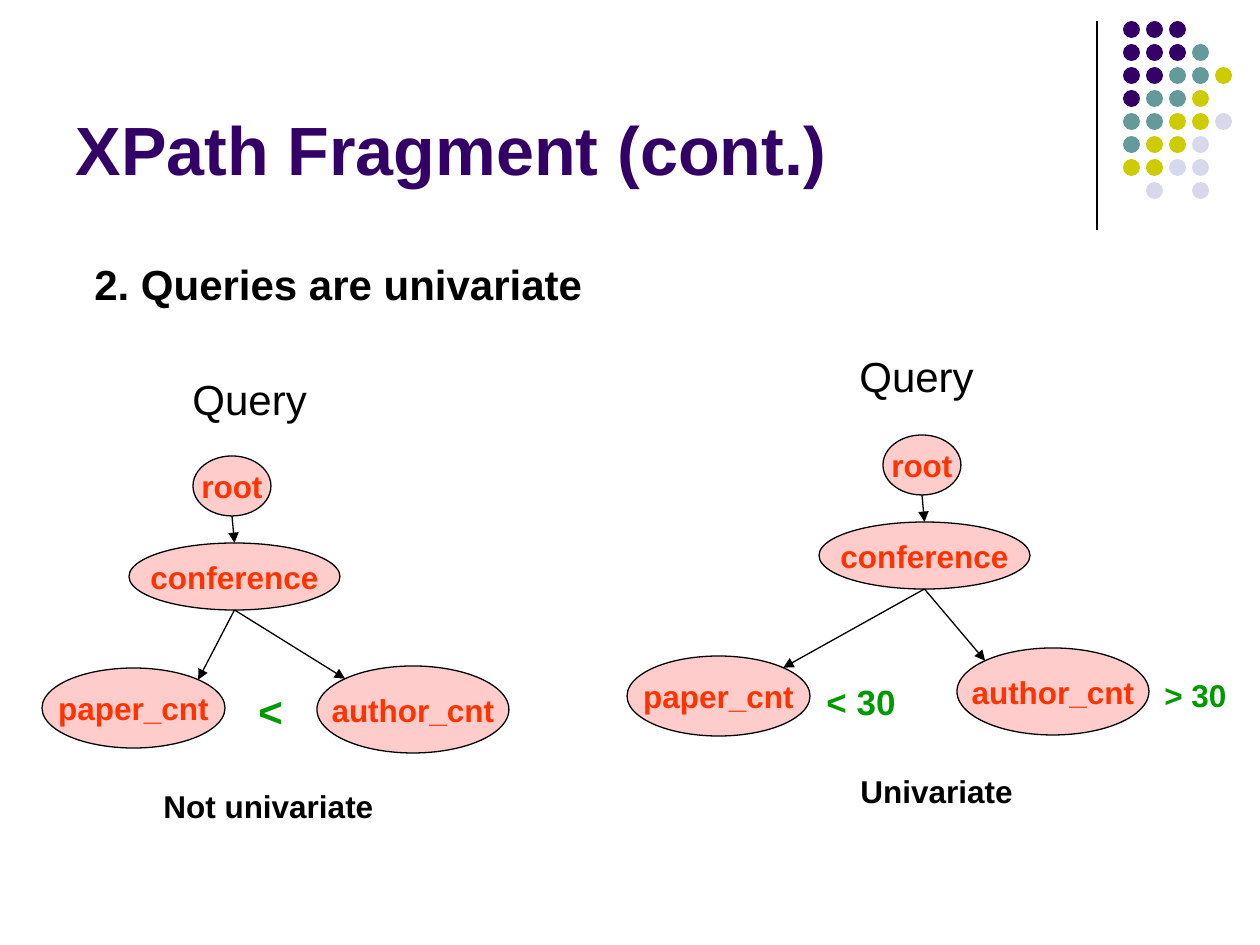
from math import sqrt

from lxml import etree
from pptx import Presentation
from pptx.dml.color import RGBColor
from pptx.enum.shapes import MSO_CONNECTOR, MSO_SHAPE
from pptx.enum.text import MSO_ANCHOR, MSO_AUTO_SIZE, PP_ALIGN
from pptx.oxml.ns import qn
from pptx.util import Pt

PX = 914400 / 126
STRAIGHT = MSO_CONNECTOR.STRAIGHT
OVAL = MSO_SHAPE.OVAL
LEFT, CENTER = PP_ALIGN.LEFT, PP_ALIGN.CENTER
MIDDLE, BOTTOM = MSO_ANCHOR.MIDDLE, MSO_ANCHOR.BOTTOM
NO_FIT = MSO_AUTO_SIZE.NONE

PURPLE = RGBColor(0x33, 0x00, 0x66)
TEAL = RGBColor(0x66, 0x99, 0x99)
OLIVE = RGBColor(0xCC, 0xCC, 0x00)
LAVENDER = RGBColor(0xD8, 0xD8, 0xEC)
BLACK = RGBColor(0x00, 0x00, 0x00)
PINK = RGBColor(0xFF, 0xCC, 0xCC)
RED = RGBColor(0xFF, 0x33, 0x00)
GREEN = RGBColor(0x00, 0x99, 0x00)

DOT_COLORS = {"P": PURPLE, "T": TEAL, "O": OLIVE, "L": LAVENDER}
DOT_ROWS = ["PPP", "PPPT", "PPTTO", "PTTO", "TTOOL", "TOOL", "OOLL", " L L"]


def px(*lengths):
    return [round(length * PX) for length in lengths]


def write(shape, text, size, color, bold=True, align=LEFT):
    para = shape.text_frame.paragraphs[0]
    para.text = text
    para.alignment = align
    para.font.name = "Arial"
    para.font.size = Pt(size)
    para.font.bold = bold
    para.font.color.rgb = color
    return para


def add_label(page, left, top, width, text, size, color=BLACK, bold=True):
    height = size * 2 + 15
    box = page.shapes.add_textbox(*px(left, top, width, height))
    box.text_frame.word_wrap = True
    write(box, text, size, color, bold).space_before = Pt(size * 0.625)


def add_oval(page, left, top, width, height, fill):
    oval = page.shapes.add_shape(OVAL, *px(left, top, width, height))
    oval.shadow.inherit = False
    oval.fill.solid()
    oval.fill.fore_color.rgb = fill
    oval.line.fill.background()
    return oval


def add_line(page, start, end, arrow=False):
    line = page.shapes.add_connector(STRAIGHT, *px(*start, *end))
    line.line.color.rgb = BLACK
    line.line.width = Pt(0.75)
    properties = line._element.spPr
    if arrow:
        outline = line.line._get_or_add_ln()
        etree.SubElement(outline, qn("a:tailEnd"), type="triangle")
    etree.SubElement(properties, qn("a:effectLst"))


def add_node(page, left, top, width, height, text):
    node = add_oval(page, left, top, width, height, PINK)
    node.line.color.rgb = BLACK
    node.line.width = Pt(0.75)
    node.text_frame.word_wrap = False
    node.text_frame.vertical_anchor = MIDDLE
    write(node, text, 18, RED, align=CENTER)


def rim_point(box, across, down):
    """Point on an oval's rim; across and down run from -1 to 1."""
    left, top, width, height = box
    return left + width * (1 + across) / 2, top + height * (1 + down) / 2


def add_query_tree(page, left, top, paper_at, author_at):
    """Draw a tree whose conference column starts at left and root at top."""
    root = (left + 64, top, 78, 60)
    conference = (left, top + 87, 211, 67)
    paper = (left + paper_at[0], top + paper_at[1], 183, 80)
    author = (left + author_at[0], top + author_at[1], 192, 87)
    nodes = {"root": root, "conference": conference,
             "paper_cnt": paper, "author_cnt": author}
    for name, box in nodes.items():
        add_node(page, *box, name)

    diagonal = sqrt(0.5)
    fork = rim_point(conference, 0, 1)
    add_line(page, rim_point(root, 0, 1), rim_point(conference, 0, -1), True)
    add_line(page, fork, rim_point(paper, diagonal, -diagonal), True)
    add_line(page, fork, rim_point(author, -diagonal, -diagonal), True)


def add_not_univariate(page, left, top):
    add_label(page, left + 51, top - 89, 173, "Query", 24, bold=False)
    add_query_tree(page, left, top, (-87, 212), (188, 210))
    add_label(page, left + 117, top + 223, 73, "<", 24, GREEN)
    add_label(page, left + 22, top + 325, 359, "Not univariate", 18)


def add_univariate(page, left, top):
    add_label(page, left + 28, top - 91, 173, "Query", 24, bold=False)
    add_query_tree(page, left, top, (-192, 221), (138, 213))
    add_label(page, left - 5, top + 239, 144, "< 30", 20, GREEN)
    add_label(page, left + 333, top + 235, 89, "> 30", 18, GREEN)
    add_label(page, left + 29, top + 331, 359, "Univariate", 18)


def add_dot_ornament(page, left, top):
    add_line(page, (left, top), (left, top + 209))
    pitch = 23
    for row, codes in enumerate(DOT_ROWS):
        for column, code in enumerate(codes):
            if code in DOT_COLORS:
                add_oval(page, left + 26 + column * pitch, top + row * pitch,
                         17, 17, DOT_COLORS[code])


def place_title(page, left, top, width, height):
    title = page.shapes.title
    title.left, title.top, title.width, title.height = px(
        left, top, width, height)
    title.text_frame.vertical_anchor = BOTTOM
    title.text_frame.auto_size = NO_FIT
    write(title, "XPath Fragment (cont.)", 39, PURPLE)


def main():
    deck = Presentation()
    deck.slide_width, deck.slide_height = px(1260, 945)
    page = deck.slides.add_slide(deck.slide_layouts[5])
    add_dot_ornament(page, 1097, 21)
    place_title(page, 63, 16, 1040, 179)
    add_label(page, 82, 252, 804, "2. Queries are univariate", 24)
    add_not_univariate(page, 129, 456)
    add_univariate(page, 819, 435)
    deck.save("out.pptx")


if __name__ == "__main__":
    main()
